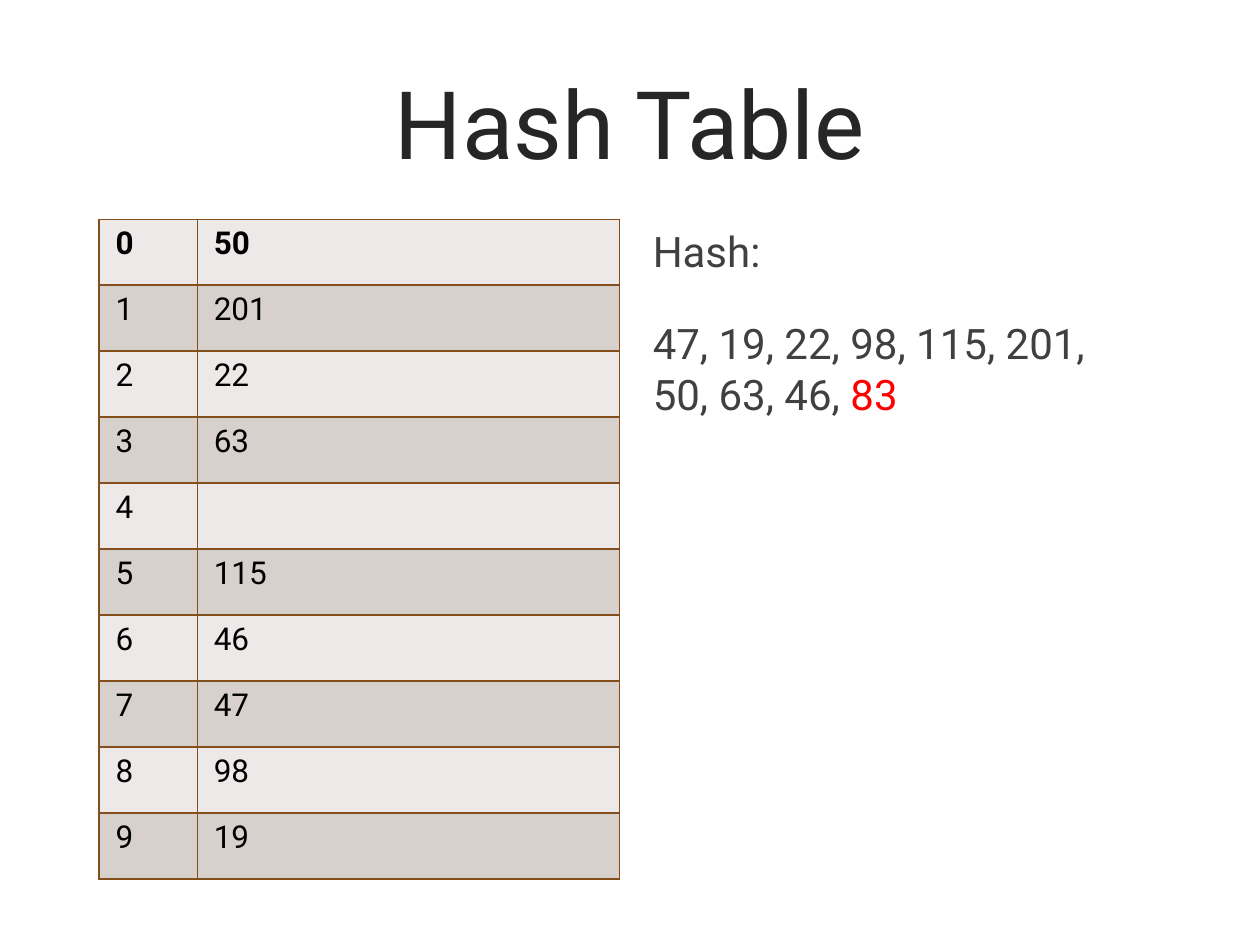
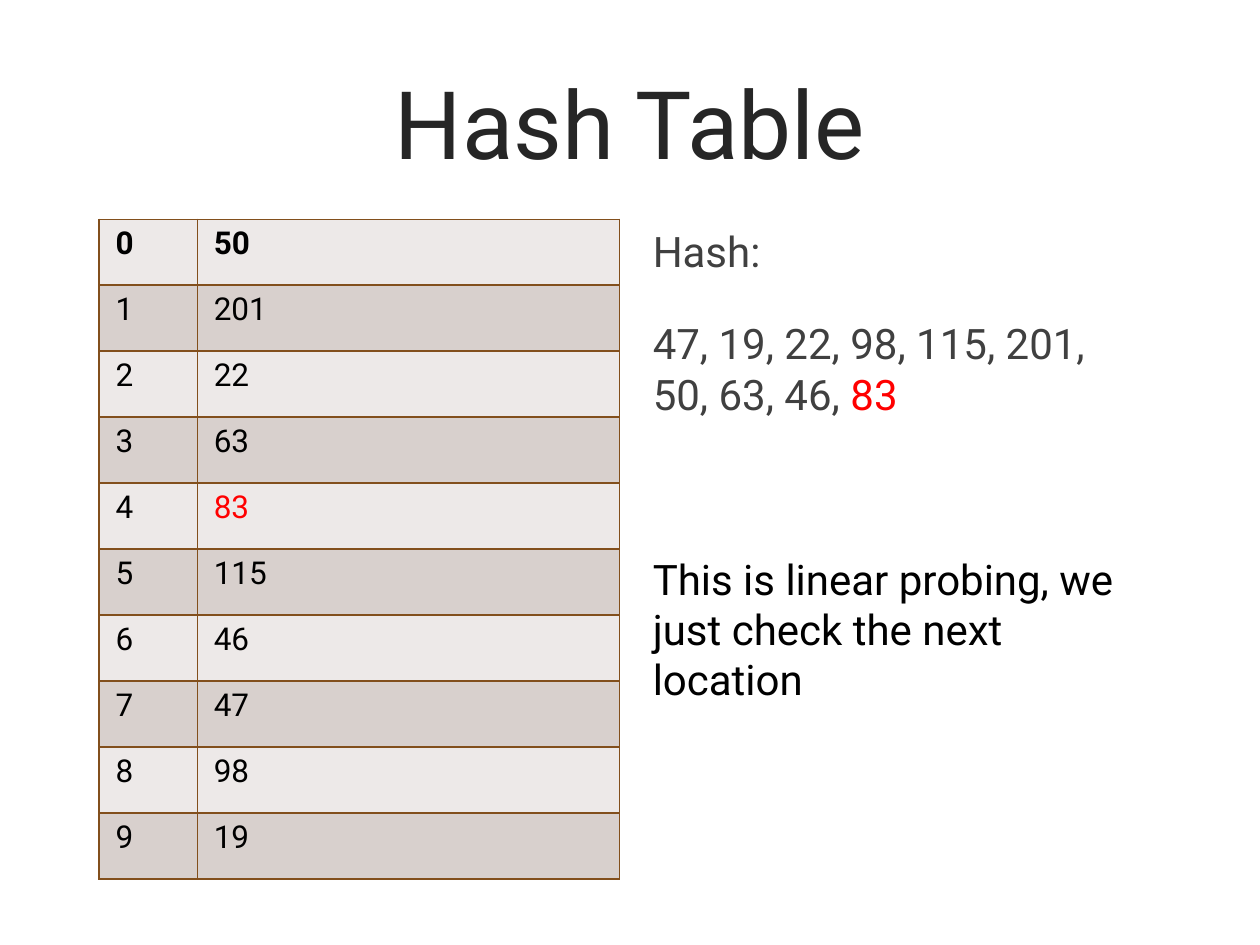
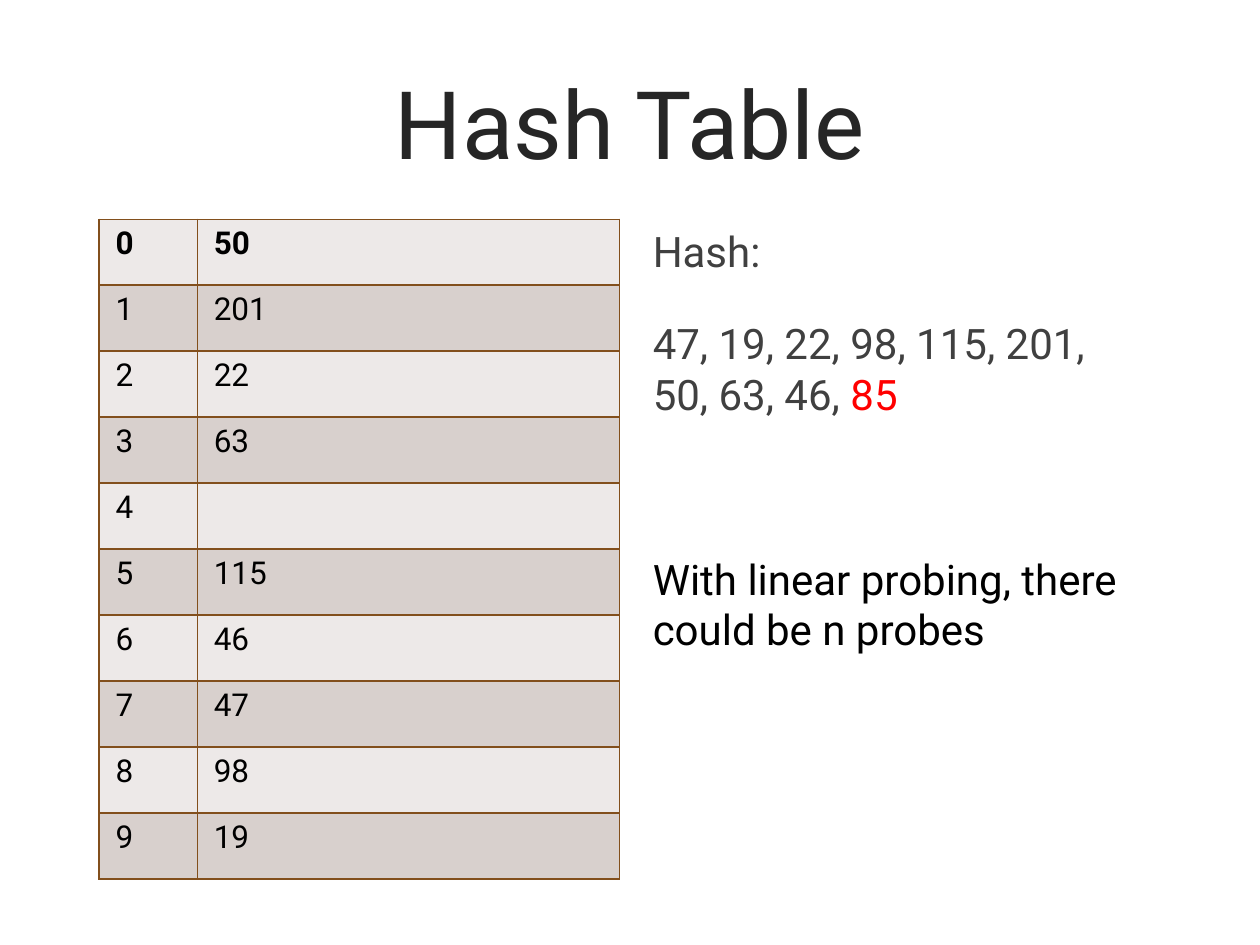
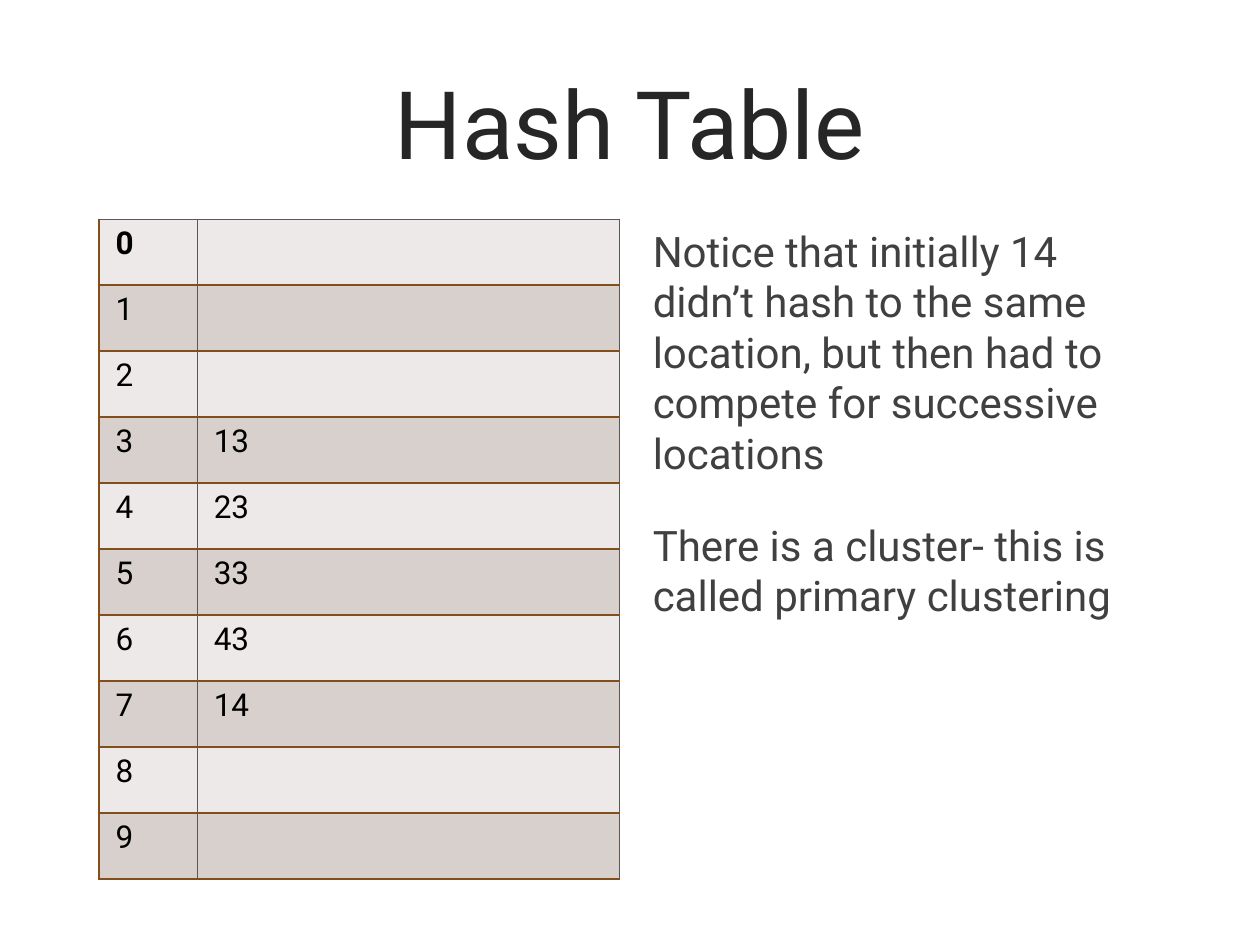
"""Build four slides that explain linear probing in a hash table."""
from dataclasses import dataclass

from lxml import etree
from pptx import Presentation
from pptx.dml.color import RGBColor
from pptx.enum.text import MSO_ANCHOR, PP_ALIGN
from pptx.oxml.ns import qn
from pptx.util import Cm, Pt

CENTER = PP_ALIGN.CENTER
MIDDLE = MSO_ANCHOR.MIDDLE


@dataclass(frozen=True)
class Theme:
    font: str = "Roboto"
    title_color: str = "262626"
    body_color: str = "404040"
    black: str = "000000"
    highlight: str = "FF0000"
    border: str = "824F1C"
    bands: tuple = ("EDE9E8", "D8D0CD")
    title_size: int = 54
    body_size: int = 24
    cell_size: int = 18
    paragraph_gap: float = 24
    remark_gap: float = 76.8
    border_width: int = 1


THEME = Theme()

TITLE = "Hash Table"
SLOT_COUNT = 10
STORED = {0: "50", 1: "201", 2: "22", 3: "63", 5: "115", 6: "46", 7: "47", 8: "98", 9: "19"}
CLUSTER = {3: "13", 4: "23", 5: "33", 6: "43", 7: "14"}
KEYS = "47, 19, 22, 98, 115, 201, 50, 63, 46, "

SLIDES = [
    {"slots": STORED, "new_key": "83"},
    {
        "slots": {**STORED, 4: "83"},
        "new_key": "83",
        "remark": "This is linear probing, we just check the next location",
    },
    {
        "slots": STORED,
        "new_key": "85",
        "remark": "With linear probing, there could be n probes",
    },
    {
        "slots": CLUSTER,
        "notes": [
            "Notice that initially 14 didn’t hash to the same location, "
            "but then had to compete for successive locations",
            "There is a cluster- this is called primary clustering",
        ],
    },
]

SLIDE_SIZE = (Cm(25.4), Cm(19.05))
MARGIN = Cm(2)
TITLE_TOP, TITLE_HEIGHT = Cm(0.86), Cm(3.18)
TITLE_WIDTH = SLIDE_SIZE[0] - 2 * MARGIN
CONTENT_TOP = Cm(4.42)
COLUMN_WIDTHS = (Cm(1.98), Cm(8.51))
TABLE_WIDTH = sum(COLUMN_WIDTHS)
ROW_HEIGHT = Cm(1.33)
BODY_HEIGHT = Cm(12.73)
BODY_LEFT = SLIDE_SIZE[0] - MARGIN - TABLE_WIDTH
CELL_MARGIN_X, CELL_MARGIN_Y = Cm(0.33), Cm(0.13)


def style_font(font, size, color, bold=False):
    font.name = THEME.font
    font.size = Pt(size)
    font.bold = bold
    font.color.rgb = RGBColor.from_string(color)


def add_text_box(slide, left, top, width, height):
    text_frame = slide.shapes.add_textbox(left, top, width, height).text_frame
    text_frame.word_wrap = True
    return text_frame


def add_title(slide):
    text_frame = add_text_box(slide, MARGIN, TITLE_TOP, TITLE_WIDTH, TITLE_HEIGHT)
    text_frame.vertical_anchor = MIDDLE
    text_frame.text = TITLE
    paragraph = text_frame.paragraphs[0]
    paragraph.alignment = CENTER
    style_font(paragraph.runs[0].font, THEME.title_size, THEME.title_color)


def add_borders(cell):
    properties = cell._tc.get_or_add_tcPr()
    for position, side in enumerate(("lnL", "lnR", "lnT", "lnB")):
        line = etree.Element(qn(f"a:{side}"), w=str(Pt(THEME.border_width)))
        fill = etree.SubElement(line, qn("a:solidFill"))
        etree.SubElement(fill, qn("a:srgbClr"), val=THEME.border)
        properties.insert(position, line)


def format_cell(cell, text, row, color):
    cell.margin_left = cell.margin_right = CELL_MARGIN_X
    cell.margin_top = cell.margin_bottom = CELL_MARGIN_Y
    cell.fill.solid()
    cell.fill.fore_color.rgb = RGBColor.from_string(THEME.bands[row % 2])
    add_borders(cell)
    if text:
        cell.text_frame.text = text
        run = cell.text_frame.paragraphs[0].runs[0]
        style_font(run.font, THEME.cell_size, color, bold=row == 0)


def add_slot_table(slide, slots, new_key):
    table = slide.shapes.add_table(
        SLOT_COUNT, len(COLUMN_WIDTHS), MARGIN, CONTENT_TOP, TABLE_WIDTH, SLOT_COUNT * ROW_HEIGHT
    ).table
    table.first_row = table.horz_banding = False
    for column, width in zip(table.columns, COLUMN_WIDTHS):
        column.width = width
    for index, row in enumerate(table.rows):
        row.height = ROW_HEIGHT
        value = slots.get(index, "")
        color = THEME.highlight if value and value == new_key else THEME.black
        format_cell(row.cells[0], str(index), index, THEME.black)
        format_cell(row.cells[1], value, index, color)


def body_paragraphs(content):
    color, gap = THEME.body_color, THEME.paragraph_gap
    if "notes" in content:
        return [(gap, [(note, color)]) for note in content["notes"]]
    paragraphs = [
        (gap, [("Hash:", color)]),
        (gap, [(KEYS, color), (content["new_key"], THEME.highlight)]),
    ]
    if "remark" in content:
        paragraphs.append((THEME.remark_gap, [(content["remark"], THEME.black)]))
    return paragraphs


def add_body(slide, content):
    text_frame = add_text_box(slide, BODY_LEFT, CONTENT_TOP, TABLE_WIDTH, BODY_HEIGHT)
    for index, (gap, pieces) in enumerate(body_paragraphs(content)):
        paragraph = text_frame.add_paragraph() if index else text_frame.paragraphs[0]
        paragraph.space_before = Pt(gap)
        for text, color in pieces:
            run = paragraph.add_run()
            run.text = text
            style_font(run.font, THEME.body_size, color)


def main():
    presentation = Presentation()
    presentation.slide_width, presentation.slide_height = SLIDE_SIZE
    blank_layout = presentation.slide_layouts[6]
    for content in SLIDES:
        slide = presentation.slides.add_slide(blank_layout)
        add_title(slide)
        add_slot_table(slide, content["slots"], content.get("new_key"))
        add_body(slide, content)
    presentation.save("out.pptx")


main()
